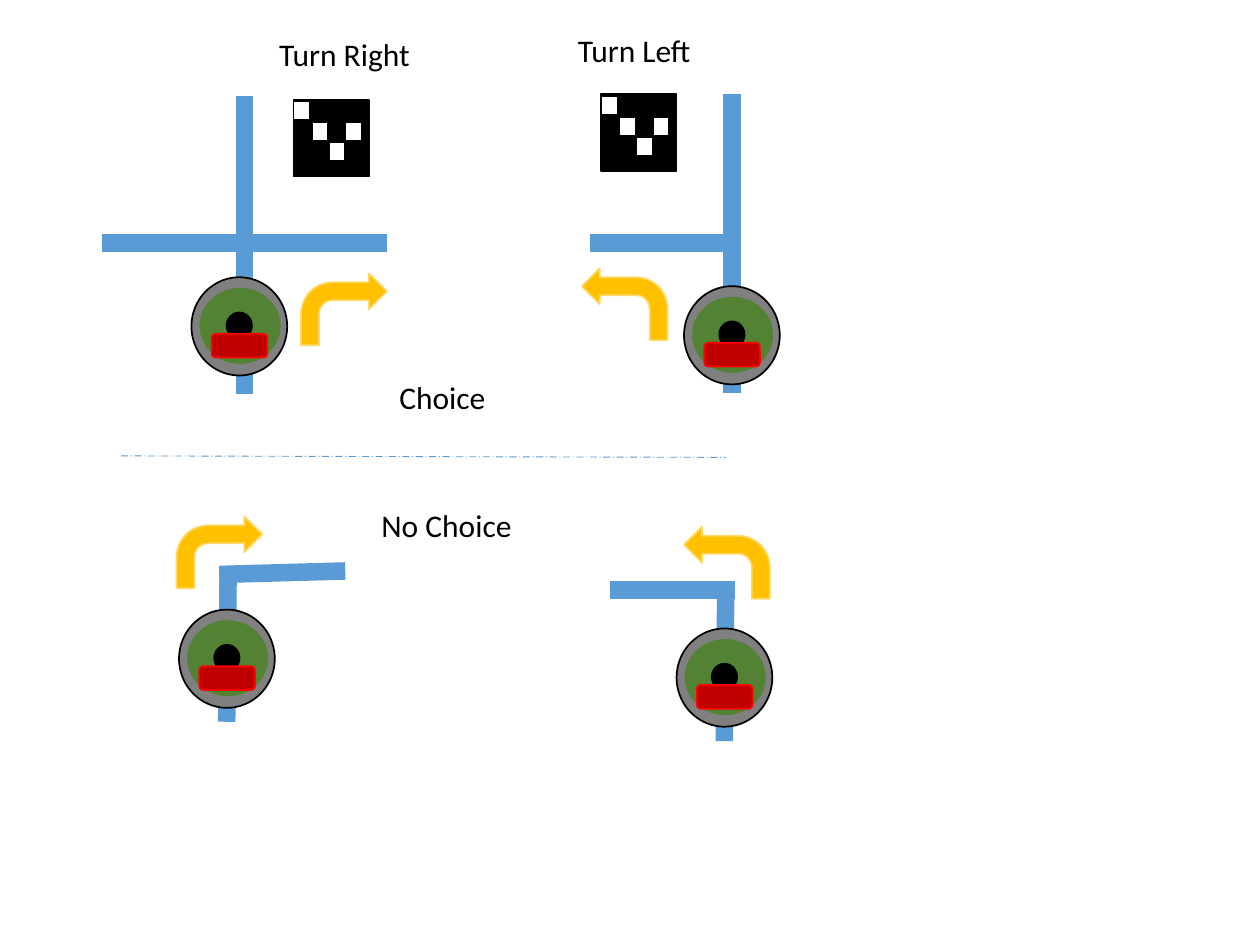
import pptx
import pptx.util
import pptx.dml.color
import pptx.enum.dml
import pptx.enum.shapes
import pptx.enum.text
import pptx.oxml
import pptx.oxml.ns

Cm = pptx.util.Cm
Pt = pptx.util.Pt
Kind = pptx.enum.shapes.MSO_SHAPE

HUES = {
    "road": "5B9BD5",
    "black": "000000",
    "white": "FFFFFF",
    "rim": "808080",
    "body": "548235",
    "box": "C00000",
    "edge": "FF0000",
    "arrow": "FFC000",
    "glow": "FFD966",
}

ROADS = [
    (4.93, 1.93, 4.93, 7.95),
    (2.06, 4.9, 7.8, 4.9),
    (14.76, 1.9, 14.76, 7.92),
    (11.89, 4.9, 14.76, 4.9),
    (4.6, 11.51, 4.57, 14.55),
    (4.42, 11.58, 6.96, 11.51),
    (14.63, 11.89, 14.6, 14.94),
    (12.29, 11.89, 14.81, 11.89),
]
TAGS = [(5.92, 2.01), (12.12, 1.9)]
CELLS = [(0, 0.03), (0.37, 0.46), (0.71, 0.86), (1.04, 0.46)]
LABELS = [
    ("Choice", 7.8, 7.49, 2.26),
    ("No Choice", 7.44, 10.08, 3.18),
    ("Turn Left", 11.4, 0.51, 2.82),
    ("Turn Right", 5.38, 0.58, 3.18),
]
BOTS = [(13.79, 5.77), (3.86, 5.59), (13.64, 12.67), (3.61, 12.29)]
PARTS = [
    (Kind.OVAL, 0, 0, 1.93, 1.98, "rim", "black"),
    (Kind.OVAL, 0.18, 0.23, 1.6, 1.5, "body", "body"),
    (Kind.OVAL, 0.71, 0.71, 0.51, 0.53, "black", "black"),
    (Kind.ROUNDED_RECTANGLE, 0.41, 1.14, 1.12, 0.48, "box", "edge"),
]
ARROWS = [
    (6.07, 5.51, False),
    (3.56, 10.41, False),
    (13.79, 10.62, True),
    (11.73, 5.41, True),
]


def hue(name):
    return pptx.dml.color.RGBColor.from_string(HUES[name])


def add_form(shapes, kind, x, y, w, h, fill, edge):
    form = shapes.add_shape(kind, Cm(x), Cm(y), Cm(w), Cm(h))
    form.shadow.inherit = False
    form.fill.solid()
    form.fill.fore_color.rgb = hue(fill)
    form.line.color.rgb = hue(edge)
    form.line.width = Pt(1)
    return form


def add_line(shapes, ends, width):
    line = shapes.add_connector(
        pptx.enum.shapes.MSO_CONNECTOR.STRAIGHT, *map(Cm, ends))
    line.line.color.rgb = hue("road")
    line.line.width = Pt(width)
    line._element.spPr.append(pptx.oxml.parse_xml(
        "<a:effectLst %s/>" % pptx.oxml.ns.nsdecls("a")))
    return line


def add_tag(shapes, x, y):
    group = shapes.add_group_shape().shapes
    add_form(group, Kind.RECTANGLE, x, y, 1.52, 1.55, "black", "black")
    for dx, dy in CELLS:
        add_form(group, Kind.RECTANGLE, x + dx, y + dy, 0.33, 0.38,
                 "white", "black")


def add_bot(shapes, x, y):
    group = shapes.add_group_shape().shapes
    for kind, dx, dy, w, h, fill, edge in PARTS:
        add_form(group, kind, x + dx, y + dy, w, h, fill, edge)


def add_arrow(shapes, x, y, flip):
    arrow = add_form(shapes, Kind.BENT_ARROW, x, y, 1.73, 1.45,
                     "arrow", "glow")
    if flip:
        arrow._element.spPr.xfrm.set("flipH", "1")


def add_label(shapes, text, x, y, w):
    frame = shapes.add_textbox(Cm(x), Cm(y), Cm(w), Cm(1.02)).text_frame
    frame.word_wrap = False
    frame.auto_size = pptx.enum.text.MSO_AUTO_SIZE.SHAPE_TO_FIT_TEXT
    para = frame.paragraphs[0]
    para.text = text
    para.font.name = "Calibri"
    para.font.size = Pt(18)
    para.font.color.rgb = hue("black")


def main():
    deck = pptx.Presentation()
    deck.slide_width, deck.slide_height = Cm(25.4), Cm(19.05)
    shapes = deck.slides.add_slide(deck.slide_layouts[6]).shapes
    for ends in ROADS:
        add_line(shapes, ends, 10)
    for spot in TAGS:
        add_tag(shapes, *spot)
    split = add_line(shapes, (2.44, 9.19, 14.63, 9.22), 0.5)
    split.line.dash_style = pptx.enum.dml.MSO_LINE.LONG_DASH_DOT
    for label in LABELS:
        add_label(shapes, *label)
    for spot in BOTS:
        add_bot(shapes, *spot)
    for arrow in ARROWS:
        add_arrow(shapes, *arrow)
    deck.save("out.pptx")


if __name__ == "__main__":
    main()
